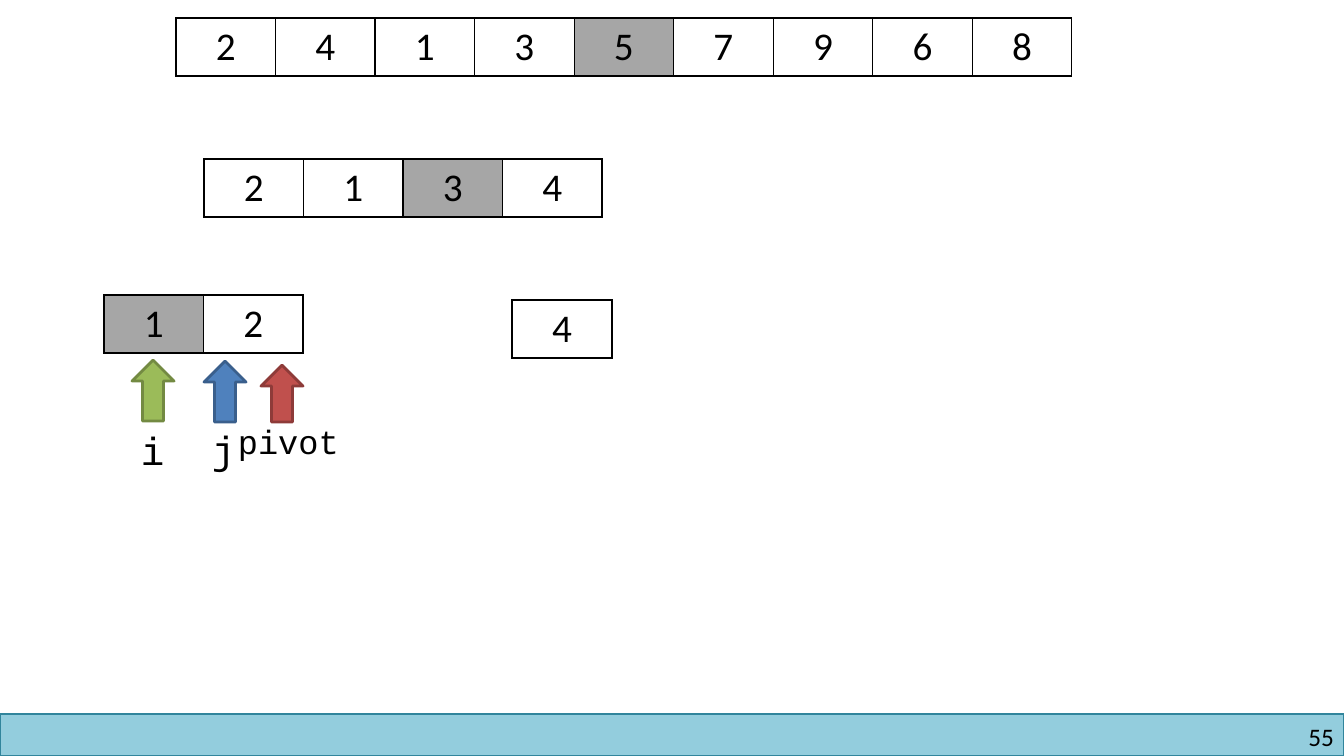
from lxml import etree
from pptx import Presentation
from pptx.dml.color import RGBColor
from pptx.enum.shapes import MSO_SHAPE
from pptx.enum.text import MSO_AUTO_SIZE, PP_ALIGN
from pptx.oxml.ns import qn
from pptx.util import Emu, Pt

SCALE = 914400 / 100.8
COLORS = {
    "black": "000000",
    "white": "FFFFFF",
    "pivot cell": "A6A6A6",
    "footer": "93CDDD",
    "footer line": "31859C",
    "red": "C0504D",
    "red line": "8E3B39",
    "blue": "4F81BD",
    "blue line": "3A5F8C",
    "green": "9BBB59",
    "green line": "738A42",
}


def px(*lengths):
    return [Emu(round(length * SCALE)) for length in lengths]


def write(text_frame, text, size, font_name, alignment=PP_ALIGN.LEFT):
    text_frame.text = text
    paragraph = text_frame.paragraphs[0]
    paragraph.alignment = alignment
    font = paragraph.runs[0].font
    font.size = Pt(size)
    font.name = font_name
    font.bold = False
    font.color.rgb = RGBColor.from_string(COLORS["black"])


presentation = Presentation()
presentation.slide_width, presentation.slide_height = px(1344, 756)
slide = presentation.slides.add_slide(presentation.slide_layouts[6])
shapes = slide.shapes

# Footer band and slide number
footer = shapes.add_shape(MSO_SHAPE.RECTANGLE, *px(0, 714, 1344, 42))
footer.shadow.inherit = False
footer.fill.solid()
footer.fill.fore_color.rgb = RGBColor.from_string(COLORS["footer"])
footer.line.color.rgb = RGBColor.from_string(COLORS["footer line"])
footer.line.width = Pt(1)

slide_number = shapes.add_textbox(*px(1025, 721, 309, 30))
number_frame = slide_number.text_frame
number_frame.word_wrap = True
number_frame.margin_left = number_frame.margin_right = 0
number_frame.margin_top = number_frame.margin_bottom = 0
write(number_frame, "55", 18, "Calibri", PP_ALIGN.RIGHT)

# Array segments: left, top, width, values, index of the pivot
segments = [
    (176, 18, 896, "241357968", 4),
    (204, 159, 398, "2134", 2),
    (104, 295, 199, "12", 0),
    (512, 300, 100, "4", None),
]
for left, top, width, values, pivot_index in segments:
    frame = shapes.add_table(1, len(values), *px(left, top, width, 58))
    table = frame.table
    table.first_row = table.horz_banding = False
    for index, value in enumerate(values):
        cell = table.cell(0, index)
        write(cell.text_frame, value, 28, "Calibri", PP_ALIGN.CENTER)
        properties = cell._tc.get_or_add_tcPr()
        for side in ("lnL", "lnR", "lnT", "lnB"):
            border = etree.SubElement(properties, qn(f"a:{side}"), w=str(Pt(1)))
            border_fill = etree.SubElement(border, qn("a:solidFill"))
            etree.SubElement(border_fill, qn("a:srgbClr"), val=COLORS["black"])
        cell.fill.solid()
        fill_name = "pivot cell" if index == pivot_index else "white"
        cell.fill.fore_color.rgb = RGBColor.from_string(COLORS[fill_name])

# Index markers: name, colour, arrow box, label box, label size
markers = [
    ("pivot", "red", (261, 365, 42, 57), (228, 416, 122, 50), 24),
    ("j", "blue", (204, 361, 42, 61), (202, 420, 44, 57), 28),
    ("i", "green", (132, 360, 42, 61), (131, 421, 44, 57), 28),
]
for name, color, arrow_box, label_box, size in markers:
    arrow = shapes.add_shape(MSO_SHAPE.DOWN_ARROW, *px(*arrow_box))
    arrow.rotation = 180
    arrow.shadow.inherit = False
    arrow.fill.solid()
    arrow.fill.fore_color.rgb = RGBColor.from_string(COLORS[color])
    arrow.line.color.rgb = RGBColor.from_string(COLORS[f"{color} line"])
    arrow.line.width = Pt(2)

    label = shapes.add_textbox(*px(*label_box))
    label.text_frame.word_wrap = False
    label.text_frame.auto_size = MSO_AUTO_SIZE.SHAPE_TO_FIT_TEXT
    write(label.text_frame, name, size, "Courier New")

presentation.save("out.pptx")
